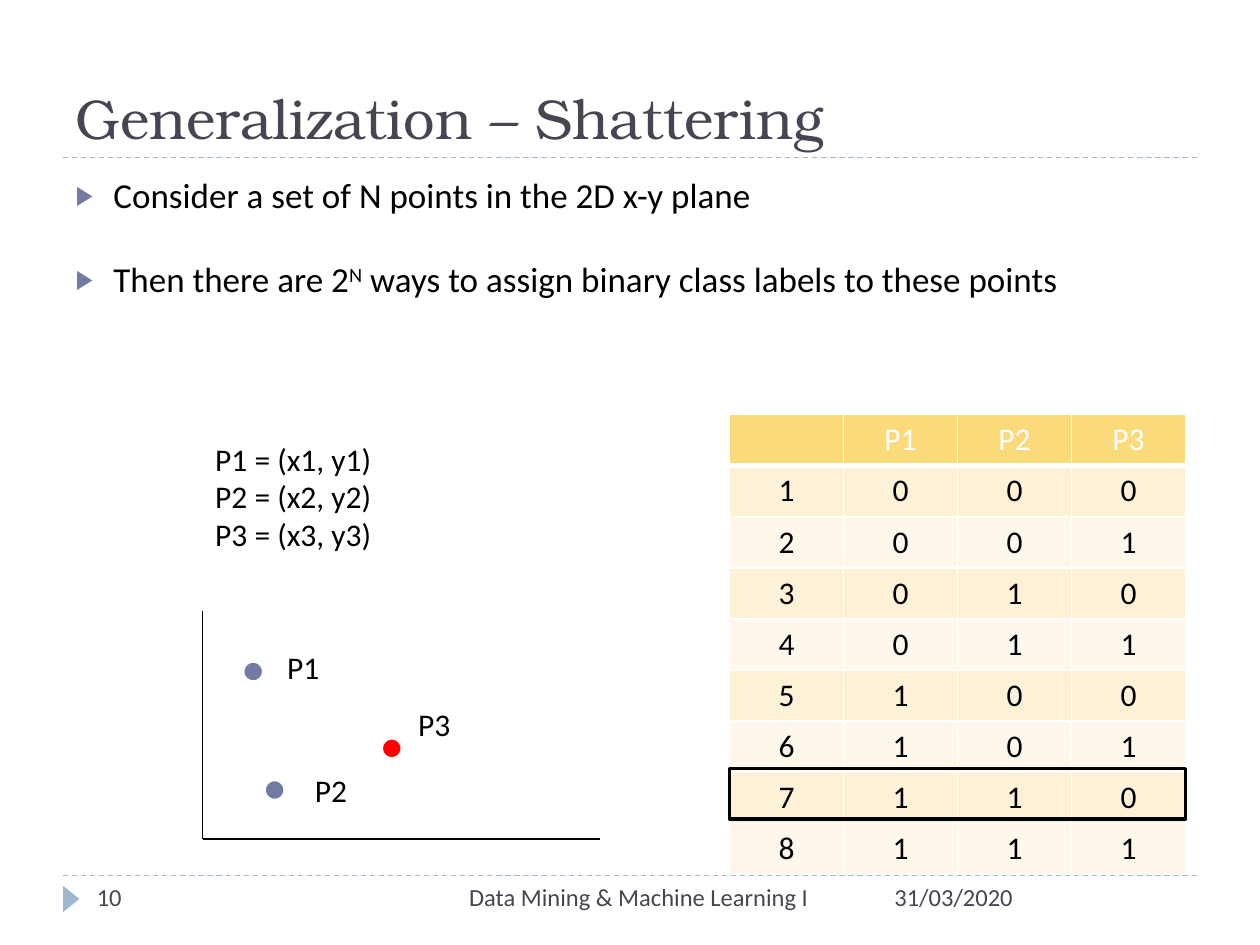
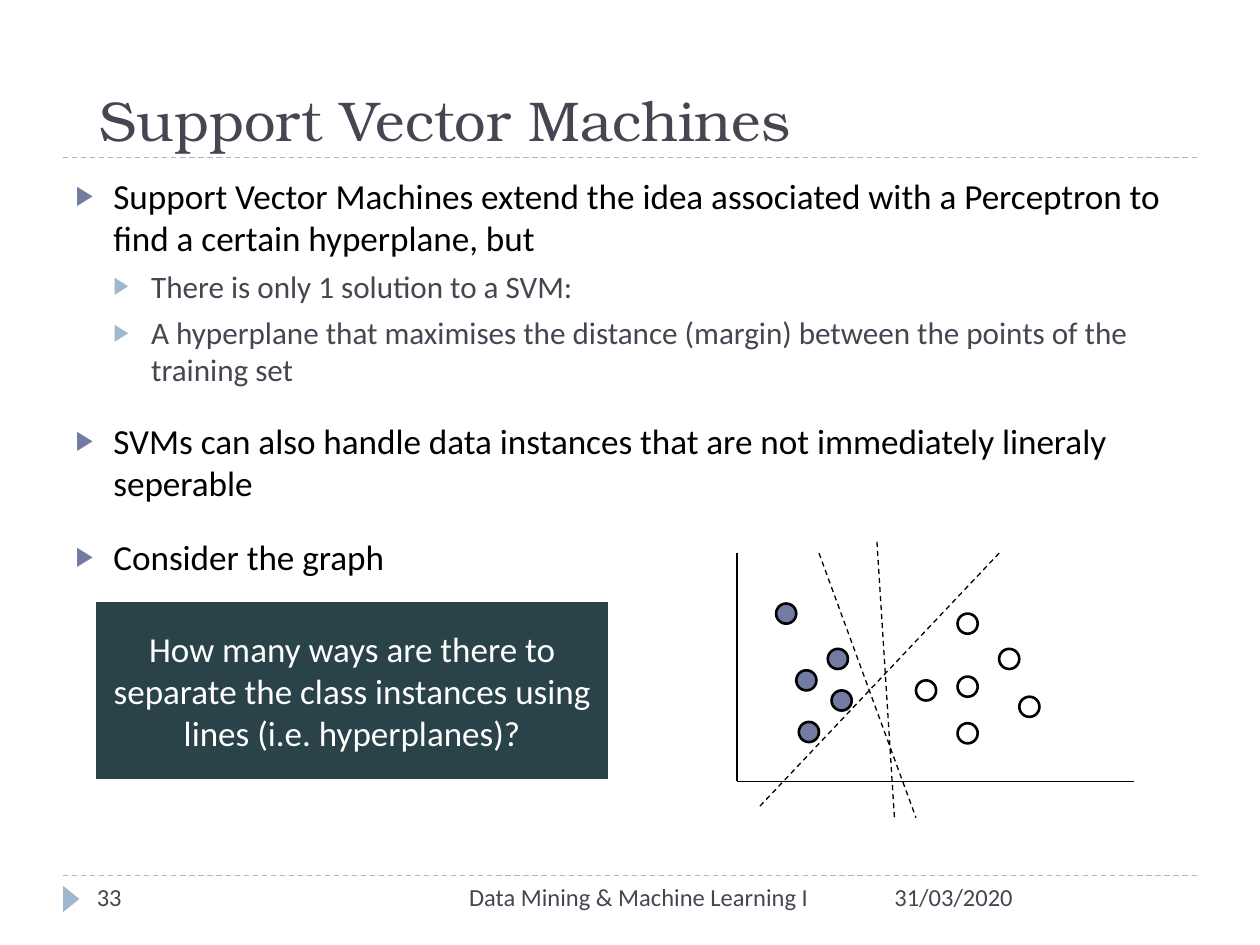
import pptx
import pptx.util
import pptx.dml.color
import pptx.enum.dml
import pptx.enum.shapes
import pptx.enum.text
import pptx.oxml
import pptx.oxml.ns

Inches, Pt = pptx.util.Inches, pptx.util.Pt
SHAPE = pptx.enum.shapes.MSO_SHAPE
ALIGN = pptx.enum.text.PP_ALIGN
ANCHOR = pptx.enum.text.MSO_ANCHOR
NONE = pptx.enum.text.MSO_AUTO_SIZE.NONE

INK, SLATE, PALE = "464653", "727CA3", "9FB8CD"
BLACK, WHITE, RED, TEAL = "000000", "FFFFFF", "FF0000", "294349"
HEAD, BANDS = "FADA7A", ("FDF1D7", "FEF8EC")
BODY_FONT, TITLE_FONT = "Calibri", "TeX Gyre Bonum"
DOT = 0.16
BULLETS = {0: (0.3, SLATE, BLACK), 1: (0.6, PALE, INK)}

FOOTERS = [
    ("31/03/2020", (7, 6.95, 2.5, 0.4), ALIGN.LEFT),
    ("Data Mining & Machine Learning I", (3.17, 6.95, 3.8, 0.4), ALIGN.CENTER),
]
NUMBER_BOX = (0.67, 6.95, 2.17, 0.4)

SHATTERING = {
    "title": "Generalization – Shattering",
    "title_box": (0.5, 0.17, 9, 1.08),
    "number": "10",
    "body_box": (0.5, 1.33, 9.07, 5.4),
    "bullets": [
        (0, 20, 24, ["Consider a set of N points in the 2D x-y plane"]),
        (0, 20, 24, ["Then there are 2", "N",
                     " ways to assign binary class labels to these points"]),
    ],
    "axes": (1.61, 4.85, 6.66),
    "dots": [(1.93, 5.25, SLATE), (3.03, 5.86, RED), (2.1, 6.19, SLATE)],
    "dot_line": WHITE,
}
COORDINATES = ["P1 = (x1, y1)", "P2 = (x2, y2)", "P3 = (x3, y3)"]
POINT_LABELS = [("P1", 2.18, 5.09), ("P2", 2.4, 6.07), ("P3", 3.22, 5.55)]
TABLE_BOX = (5.79, 3.29, 3.62, 3.6)
TABLE_HEAD = ["", "P1", "P2", "P3"]
MARKED_ROW = 7

SVM = {
    "title": "Support Vector Machines",
    "title_box": (0.69, 0.4, 8.62, 0.86),
    "number": "33",
    "body_box": (0.5, 1.33, 9.07, 3.52),
    "bullets": [
        (0, 20.1, 18, ["Support Vector Machines extend the idea associated with "
                       "a Perceptron to find a certain hyperplane, but"]),
        (1, 17.8, 5, ["There is only 1 solution to a SVM:"]),
        (1, 17.8, 5, ["A hyperplane that maximises the distance (margin) "
                      "between the points of the training set"]),
        (0, 20.1, 18, ["SVMs can also handle data instances that are not "
                       "immediately lineraly seperable"]),
        (0, 20.1, 18, ["Consider the graph"]),
    ],
    "axes": (5.85, 4.39, 6.2),
    "dots": [(x, y, SLATE) for x, y in [(6.16, 4.79), (6.34, 5.73), (6.57, 5.15),
                                        (6.32, 5.32), (6.6, 5.48)]]
          + [(x, y, None) for x, y in [(7.27, 5.4), (7.6, 5.37), (7.6, 5.74),
                                       (7.93, 5.15), (8.09, 5.53), (7.6, 4.87)]],
    "dot_line": BLACK,
}
QUESTION = ("How many ways are there to separate the class instances "
            "using lines (i.e. hyperplanes)?")
QUESTION_BOX = (0.75, 4.77, 4.09, 1.42)
HYPERPLANES = [(6.5, 4.39, 7.27, 6.49), (7.93, 4.39, 6.02, 6.41), (6.96, 4.3, 7.1, 6.51)]


def rgb(color):
    """Turn a hex string into a colour."""
    return pptx.dml.color.RGBColor.from_string(color)


def inches(box):
    """Turn a tuple of numbers into lengths."""
    return [Inches(v) for v in box]


def assign(obj, **values):
    """Set each named attribute on an object."""
    for name, value in values.items():
        setattr(obj, name, value)


def xml(parent, tag, **attrs):
    """Append a DrawingML element with attributes."""
    el = parent.makeelement(pptx.oxml.ns.qn(tag), attrs)
    parent.append(el)
    return el


def add_run(p, text, size, color, font=BODY_FONT):
    """Add one formatted run to a paragraph."""
    r = p.add_run()
    r.text = text
    assign(r.font, size=Pt(size), name=font, bold=False)
    r.font.color.rgb = rgb(color)
    return r


def write(tf, lines, size, color, align=ALIGN.LEFT, anchor=ANCHOR.TOP, font=BODY_FONT):
    """Write lines as paragraphs of a text frame."""
    assign(tf, word_wrap=True, auto_size=NONE, vertical_anchor=anchor)
    for i, line in enumerate(lines):
        p = tf.add_paragraph() if i else tf.paragraphs[0]
        p.alignment = align
        add_run(p, line, size, color, font)


def add_text(s, lines, box, size=18, color=BLACK, align=ALIGN.LEFT):
    """Add a text box."""
    write(s.shapes.add_textbox(*inches(box)).text_frame, lines, size, color, align)


def add_line(s, ends, color=BLACK, dashed=False):
    """Add a thin straight line."""
    c = s.shapes.add_connector(pptx.enum.shapes.MSO_CONNECTOR.STRAIGHT, *inches(ends))
    c.line.color.rgb = rgb(color)
    c.line.width = Pt(0.75)
    if dashed:
        c.line.dash_style = pptx.enum.dml.MSO_LINE.DASH
    xml(c._element.spPr, "a:effectLst")


def add_shape(s, kind, box, fill=None, line=None, width=1.5):
    """Add a preset shape with optional fill and outline."""
    sp = s.shapes.add_shape(kind, *inches(box))
    sp.shadow.inherit = False
    for part, color in ((sp.fill, fill), (sp.line.fill, line)):
        if color:
            part.solid()
            part.fore_color.rgb = rgb(color)
        else:
            part.background()
    if line:
        sp.line.width = Pt(width)
    return sp


def add_bullets(tf, bullets):
    """Fill the body placeholder with triangle bullets."""
    assign(tf, word_wrap=True, auto_size=NONE)
    for i, (level, size, before, parts) in enumerate(bullets):
        indent, mark, color = BULLETS[level]
        p = tf.add_paragraph() if i else tf.paragraphs[0]
        assign(p, level=level, space_before=Pt(before))
        for j, part in enumerate(parts):
            r = add_run(p, part, size, color)
            if j == 1:
                r._r.get_or_add_rPr().set("baseline", "30000")
        pPr = p._p.get_or_add_pPr()
        pPr.set("marL", str(Inches(indent)))
        pPr.set("indent", str(Inches(-0.3)))
        xml(xml(pPr, "a:buClr"), "a:srgbClr", val=mark)
        xml(pPr, "a:buSzPct", val="76000")
        xml(pPr, "a:buChar", char="▶")


def add_plot(s, axes, dots, dot_line):
    """Draw two axes and the data points."""
    left, top, bottom = axes
    add_line(s, (left, top, left, bottom))
    add_line(s, (left, bottom, left + 3.15, bottom))
    for x, y, fill in dots:
        add_shape(s, SHAPE.OVAL, (x, y, DOT, DOT), fill, dot_line)


def add_slide(prs, content):
    """Add a slide with title, bullets, rules, footer and plot."""
    s = prs.slides.add_slide(prs.slide_layouts[1])
    for y in (1.25, 6.95):
        add_line(s, (0.5, y, 9.5, y), PALE, True)
    add_shape(s, SHAPE.ISOSCELES_TRIANGLE, (0.46, 7.07, 0.21, 0.13), PALE).rotation = 90
    title, body = s.placeholders
    for sp, name in ((title, "title_box"), (body, "body_box")):
        assign(sp, **dict(zip(("left", "top", "width", "height"), inches(content[name]))))
    write(title.text_frame, [content["title"]], 32, INK, anchor=ANCHOR.BOTTOM, font=TITLE_FONT)
    add_bullets(body.text_frame, content["bullets"])
    for text, box, align in FOOTERS + [(content["number"], NUMBER_BOX, ALIGN.LEFT)]:
        add_text(s, [text], box, 14, INK, align)
    add_plot(s, content["axes"], content["dots"], content["dot_line"])
    return s


def add_label_table(s):
    """Add the table of all binary labellings and mark one row."""
    rows = [TABLE_HEAD] + [[str(n + 1), *f"{n:03b}"] for n in range(8)]
    left, top, width, height = TABLE_BOX
    row_height = height / len(rows)
    table = s.shapes.add_table(len(rows), len(TABLE_HEAD), *inches(TABLE_BOX)).table
    for i, row in enumerate(rows):
        table.rows[i].height = Inches(row_height)
        for j, text in enumerate(row):
            cell = table.cell(i, j)
            write(cell.text_frame, [text], 18, BLACK if i else WHITE, ALIGN.CENTER)
            for side in "LRTB":
                thick = (i, side) in ((0, "B"), (1, "T"))
                ln = xml(cell._tc.get_or_add_tcPr(), f"a:ln{side}", w=str(Pt(3 if thick else 1)))
                xml(xml(ln, "a:solidFill"), "a:srgbClr", val=WHITE)
            cell.fill.solid()
            cell.fill.fore_color.rgb = rgb(BANDS[(i - 1) % 2] if i else HEAD)
    marked = (left, top + MARKED_ROW * row_height + 0.01, width, row_height)
    return marked


def main():
    """Build and save the slides."""
    prs = pptx.Presentation()
    assign(prs, slide_width=Inches(10), slide_height=Inches(7.5))

    s = add_slide(prs, SHATTERING)
    add_text(s, COORDINATES, (1.61, 3.44, 2.36, 1.01))
    marked = add_label_table(s)
    for text, x, y in POINT_LABELS:
        add_text(s, [text], (x, y, 0.61, 0.4))
    add_shape(s, SHAPE.RECTANGLE, marked, line=BLACK, width=2)

    s = add_slide(prs, SVM)
    sp = add_shape(s, SHAPE.RECTANGLE, QUESTION_BOX, TEAL, WHITE)
    write(sp.text_frame, [QUESTION], 20, WHITE, ALIGN.CENTER, ANCHOR.MIDDLE)
    for ends in HYPERPLANES:
        add_line(s, ends, dashed=True)

    prs.save("out.pptx")


if __name__ == "__main__":
    main()
